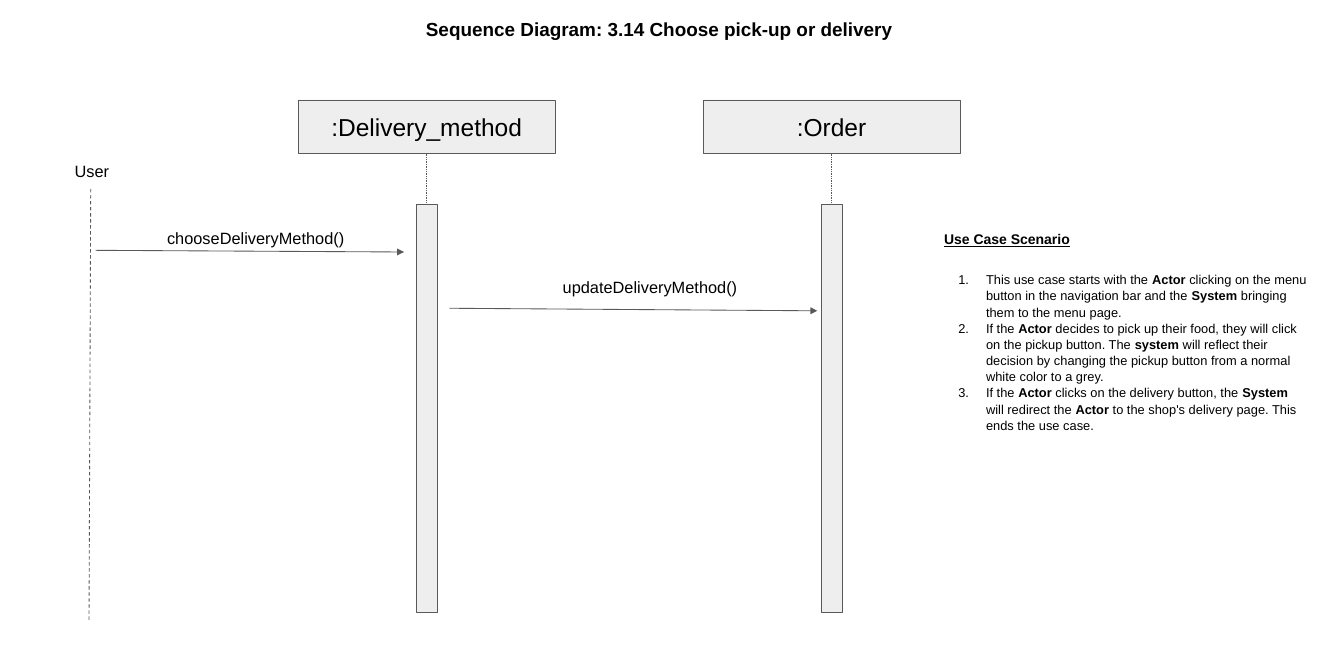
from lxml import etree
from pptx import Presentation
from pptx.dml.color import RGBColor
from pptx.enum import dml, shapes, text
from pptx.oxml.ns import qn
from pptx.util import Inches, Pt

# Content
TITLE = "Sequence Diagram: 3.14 Choose pick-up or delivery"
LIFELINES = [(":Delivery_method", 5.08), (":Order", 9.9)]  # name, centre
LABELS = [  # text, left, top, width
    ("User", 0.79, 1.82, 0.75),
    ("chooseDeliveryMethod()", 1.89, 2.62, 2.6),
    ("updateDeliveryMethod()", 6.6, 3.2, 2.35),
]
USER_LINE = ((1.08, 2.25), (1.06, 7.38))
MESSAGES = [((1.14, 2.98), (4.81, 3.0)), ((5.35, 3.67), (9.73, 3.7))]
SCENARIO_HEADING = "Use Case Scenario"
SCENARIO_STEPS = [  # runs alternate plain and bold
    ("This use case starts with the ", "Actor ",
     "clicking on the menu button in the navigation bar and the ", "System",
     " bringing them to the menu page."),
    ("If the ", "Actor ",
     "decides to pick up their food, they will click on the pickup button. The ",
     "system ", "will reflect their decision by changing the pickup button "
     "from a normal white color to a grey."),
    ("If the ", "Actor ", "clicks on the delivery button, the ", "System ",
     "will redirect the ", "Actor",
     " to the shop's delivery page. This ends the use case."),
]

# Style
FONT, BLACK, GREY, PALE = "Arial", "000000", "595959", "EEEEEE"
HEAD_TOP, HEAD_WIDTH, HEAD_HEIGHT = 1.19, 3.06, 0.64
BAR_TOP, BAR_WIDTH, BAR_HEIGHT = 2.43, 0.25, 4.86

presentation = Presentation()
presentation.slide_width, presentation.slide_height = Inches(16), Inches(8)
slide = presentation.slides.add_slide(presentation.slide_layouts[5])


def color(value):
    return RGBColor.from_string(value)


def style_runs(paragraph, size, bold=False):
    for run in paragraph.runs:
        run.font.name, run.font.size, run.font.bold = FONT, Pt(size), bold
        run.font.color.rgb = color(BLACK)


def set_frame(frame, inset, anchor=text.MSO_ANCHOR.TOP):
    frame.word_wrap = True
    frame.vertical_anchor = anchor
    frame.margin_left = frame.margin_right = Inches(inset)
    frame.margin_top = frame.margin_bottom = Inches(inset)


def add_text(left, top, width, height):
    box = slide.shapes.add_textbox(*map(Inches, (left, top, width, height)))
    set_frame(box.text_frame, 0.1)
    return box.text_frame


def add_box(center, top, width, height):
    box = slide.shapes.add_shape(
        shapes.MSO_SHAPE.RECTANGLE,
        *map(Inches, (center - width / 2, top, width, height)))
    box.shadow.inherit = False
    box.fill.solid()
    box.fill.fore_color.rgb = color(PALE)
    box.line.color.rgb = color(GREY)
    box.line.width = Pt(0.75)
    return box


def add_line(start, end, dash=None, arrow=False):
    line = slide.shapes.add_connector(
        shapes.MSO_CONNECTOR.STRAIGHT, *map(Inches, (*start, *end)))
    line.line.color.rgb = color(GREY)
    line.line.width = Pt(0.75)
    if dash:
        line.line.dash_style = dash
    if arrow:
        etree.SubElement(line.line._get_or_add_ln(), qn("a:tailEnd"), type="triangle")
    etree.SubElement(line._element.spPr, qn("a:effectLst"))


# Title
title = slide.shapes.title
title.left, title.top, title.width, title.height = map(Inches, (4.95, 0.09, 6.1, 0.52))
title.text_frame.text = TITLE
set_frame(title.text_frame, 0.12, text.MSO_ANCHOR.MIDDLE)
title.text_frame.paragraphs[0].alignment = text.PP_ALIGN.LEFT
style_runs(title.text_frame.paragraphs[0], 16.2, bold=True)

# Lifelines with their heads and activation bars
add_line(*USER_LINE, dash=dml.MSO_LINE.DASH)
for name, center in LIFELINES:
    head = add_box(center, HEAD_TOP, HEAD_WIDTH, HEAD_HEIGHT)
    head.text_frame.text = name
    set_frame(head.text_frame, 0.15, text.MSO_ANCHOR.MIDDLE)
    head.text_frame.paragraphs[0].alignment = text.PP_ALIGN.CENTER
    style_runs(head.text_frame.paragraphs[0], 21)
    add_line((center, HEAD_TOP + HEAD_HEIGHT), (center, 2.72),
             dash=dml.MSO_LINE.ROUND_DOT)
    add_box(center, BAR_TOP, BAR_WIDTH, BAR_HEIGHT)

# Messages and labels
for start, end in MESSAGES:
    add_line(start, end, arrow=True)
for label, left, top, width in LABELS:
    frame = add_text(left, top, width, 0.44)
    frame.text = label
    style_runs(frame.paragraphs[0], 14)

# Use case scenario
scenario = add_text(11.14, 2.65, 4.52, 2.54)
scenario.text = SCENARIO_HEADING
heading = scenario.paragraphs[0]
style_runs(heading, 12, bold=True)
heading.runs[0].font.underline = True
for number, step in enumerate(SCENARIO_STEPS):
    paragraph = scenario.add_paragraph()
    paragraph.line_spacing = 1.05
    paragraph.space_before = Pt(0 if number else 20)
    for part in step:
        paragraph.add_run().text = part
    style_runs(paragraph, 11)
    for run in paragraph.runs[1::2]:
        run.font.bold = True
    properties = paragraph._p.get_or_add_pPr()
    properties.set("marL", str(Inches(0.5)))
    properties.set("indent", str(Inches(-0.33)))
    etree.SubElement(properties, qn("a:buAutoNum"), type="arabicPeriod")

presentation.save("out.pptx")
